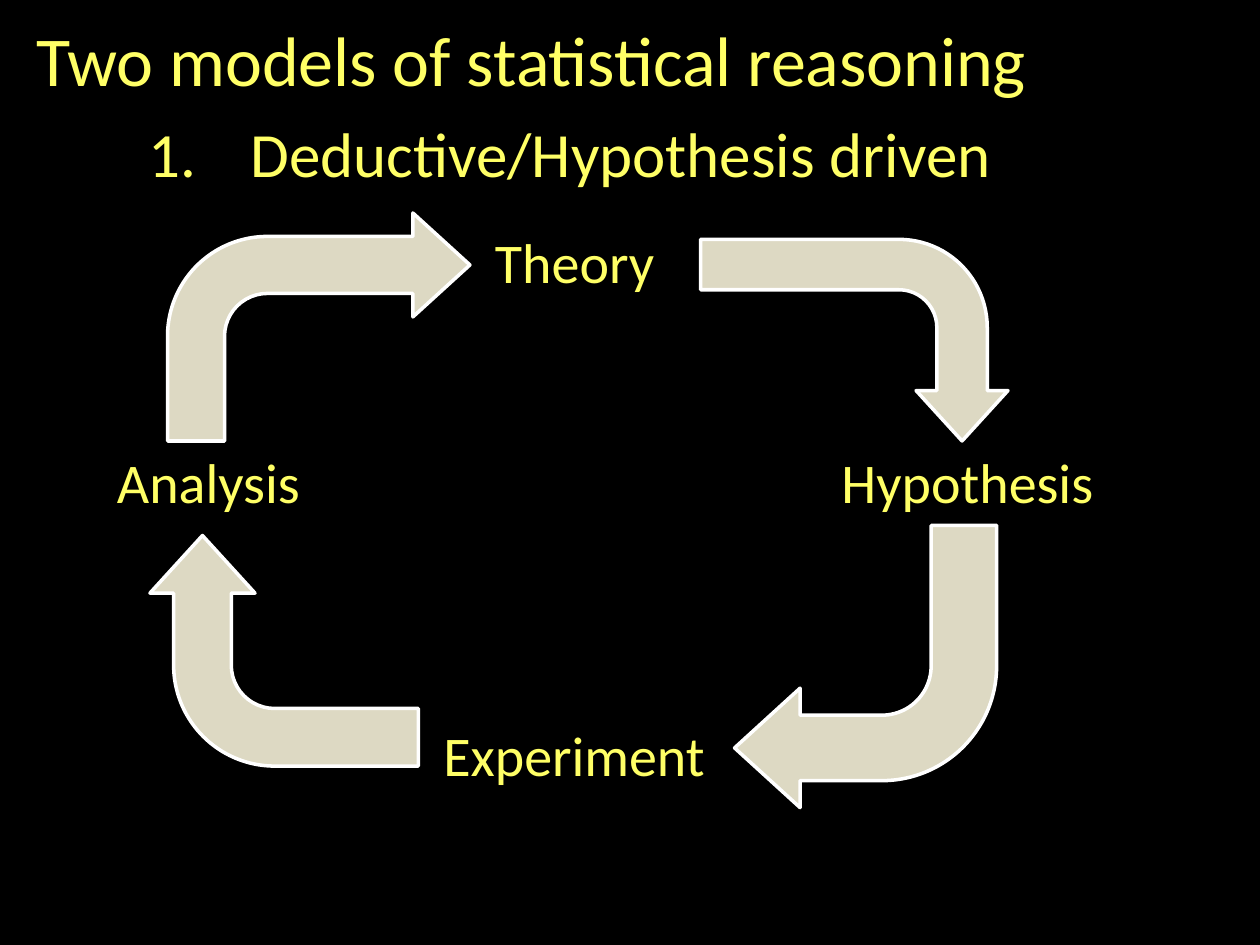
from typing import NamedTuple

from lxml.etree import SubElement
from pptx import Presentation
from pptx.dml.color import RGBColor
from pptx.enum.shapes import MSO_SHAPE
from pptx.enum.text import MSO_ANCHOR, PP_ALIGN
from pptx.oxml.ns import qn
from pptx.slide import Slide
from pptx.util import Inches, Pt

COLORS = {"background": "000000", "text": "FFFF66", "arrow": "DDD9C3", "outline": "FFFFFF"}
FRAME_FORMAT = {
    "word_wrap": True,
    "vertical_anchor": MSO_ANCHOR.TOP,
    "margin_left": Inches(0.1),
    "margin_right": Inches(0.1),
    "margin_top": Inches(0.05),
    "margin_bottom": Inches(0.05),
}
ARROW_ADJUSTMENTS = (0.25, 0.228, 0.25, 0.438)
NUMBER_INDENT = Inches(0.81)


class Area(NamedTuple):
    left: float
    top: float
    width: float
    height: float


class Label(NamedTuple):
    text: str
    area: Area
    size: int = 32
    numbered: bool = False


class Arrow(NamedTuple):
    area: Area
    rotation: int


LABELS = [
    Label("Two models of statistical reasoning", Area(0.19, 0.08, 8.39, 0.77), 40),
    Label("Deductive/Hypothesis driven", Area(1.08, 0.86, 6.96, 0.71), 36, True),
    Label("Theory", Area(3.83, 1.76, 1.48, 0.64)),
    Label("Hypothesis", Area(6.58, 3.5, 2.32, 0.64)),
    Label("Experiment", Area(3.42, 5.67, 2.3, 0.64)),
    Label("Analysis", Area(0.83, 3.5, 1.67, 0.64)),
]
ARROWS = [
    Arrow(Area(5.98, 1.48, 1.6, 2.44), 90),
    Arrow(Area(5.83, 4.17, 2.08, 2.24), 180),
    Arrow(Area(1.34, 4.1, 1.83, 2.13), 270),
    Arrow(Area(1.33, 1.69, 2.4, 1.81), 0),
]


def color(name: str) -> RGBColor:
    return RGBColor.from_string(COLORS[name])


def set_attributes(target, values: dict) -> None:
    for name, value in values.items():
        setattr(target, name, value)


def add_number(para) -> None:
    properties = para._p.get_or_add_pPr()
    properties.set("marL", str(NUMBER_INDENT))
    properties.set("indent", str(-NUMBER_INDENT))
    bullet_color = SubElement(properties, qn("a:buClr"))
    SubElement(bullet_color, qn("a:srgbClr"), val=COLORS["text"])
    SubElement(properties, qn("a:buFont"), typeface="+mj-lt")
    SubElement(properties, qn("a:buAutoNum"), type="arabicPeriod")


def draw_label(page: Slide, label: Label) -> None:
    box = page.shapes.add_textbox(*map(Inches, label.area))
    set_attributes(box.text_frame, FRAME_FORMAT)
    para = box.text_frame.paragraphs[0]
    para.alignment = PP_ALIGN.LEFT
    if label.numbered:
        add_number(para)
    span = para.add_run()
    span.text = label.text
    set_attributes(span.font, {"name": "Calibri", "size": Pt(label.size)})
    span.font.color.rgb = color("text")


def draw_arrow(page: Slide, arrow: Arrow) -> None:
    shape = page.shapes.add_shape(MSO_SHAPE.BENT_ARROW, *map(Inches, arrow.area))
    shape.rotation = arrow.rotation
    shape.shadow.inherit = False
    for index, value in enumerate(ARROW_ADJUSTMENTS):
        shape.adjustments[index] = value
    shape.fill.solid()
    shape.fill.fore_color.rgb = color("arrow")
    shape.line.color.rgb = color("outline")
    shape.line.width = Pt(2)


def main() -> None:
    deck = Presentation()
    set_attributes(deck, {"slide_width": Inches(10), "slide_height": Inches(7.5)})
    page = deck.slides.add_slide(deck.slide_layouts[6])
    page.background.fill.solid()
    page.background.fill.fore_color.rgb = color("background")
    for label in LABELS:
        draw_label(page, label)
    for arrow in ARROWS:
        draw_arrow(page, arrow)
    deck.save("out.pptx")


if __name__ == "__main__":
    main()
